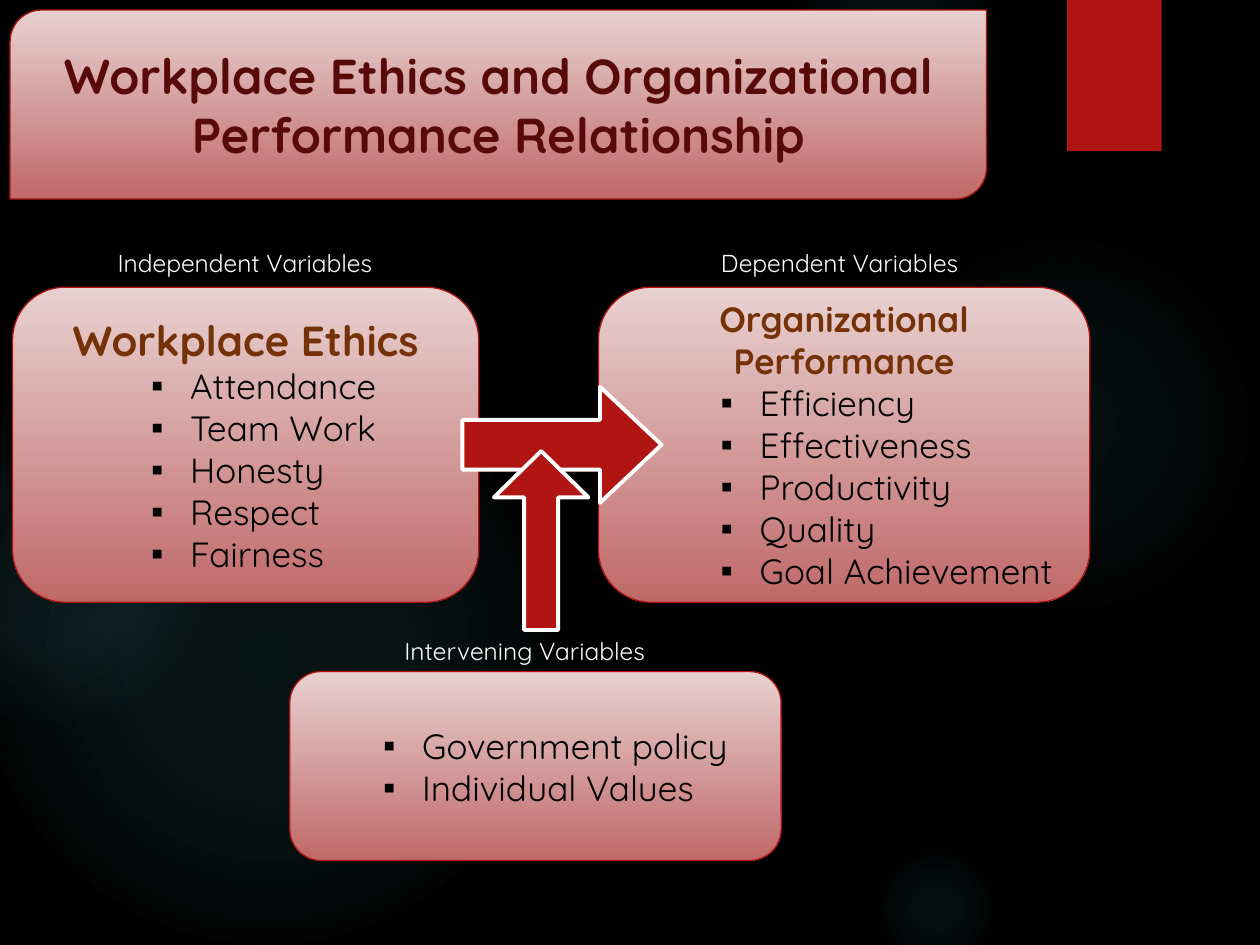
import pptx
import pptx.util
import pptx.oxml
import pptx.oxml.ns
import pptx.dml.color
import pptx.enum.shapes
import pptx.enum.text
from lxml import etree

Inches, Pt = pptx.util.Inches, pptx.util.Pt
RGBColor = pptx.dml.color.RGBColor
SHAPE = pptx.enum.shapes.MSO_SHAPE
ALIGN = pptx.enum.text.PP_ALIGN
ANCHOR = pptx.enum.text.MSO_ANCHOR
AUTO_SIZE = pptx.enum.text.MSO_AUTO_SIZE
qn = pptx.oxml.ns.qn

FONT = "Quicksand"
COLORS = {
    "background": "000000", "glow": "50B9C1", "red": "B01513",
    "card_top": "E8D1D0", "card_bottom": "C06969", "title": "580A09",
    "heading": "753209", "text": "000000", "label": "FFFFFF",
}


def color(name):
    return RGBColor.from_string(COLORS[name])


def add_box(kind, left, top, width, height, fill=None, line=None, line_width=0.75):
    """Add a shape without shadow; with no fill colour it gets the card gradient."""
    shape = slide.shapes.add_shape(
        kind, Inches(left), Inches(top), Inches(width), Inches(height))
    shape.shadow.inherit = False
    if fill:
        shape.fill.solid()
        shape.fill.fore_color.rgb = color(fill)
    else:
        shape.fill.gradient()
        shape.fill.gradient_angle = 270
        for stop, name in zip(shape.fill.gradient_stops, ("card_top", "card_bottom")):
            stop.color.rgb = color(name)
    if line:
        shape.line.color.rgb = color(line)
        shape.line.width = Pt(line_width)
    else:
        shape.line.fill.background()
    return shape


def write(frame, text, size=20, name="text", bold=False, indent=None):
    """Write a paragraph: centred, or bulleted when an indent is given."""
    paragraph = frame.paragraphs[0]
    if paragraph.runs:
        paragraph = frame.add_paragraph()
    run = paragraph.add_run()
    run.text = text
    run.font.name = FONT
    run.font.size = Pt(size)
    run.font.bold = bold
    run.font.color.rgb = color(name)
    paragraph.alignment = ALIGN.CENTER if indent is None else ALIGN.LEFT
    if indent is not None:
        properties = paragraph._p.get_or_add_pPr()
        properties.set("marL", str(Inches(indent)))
        properties.set("indent", str(Inches(-0.31)))
        etree.SubElement(properties, qn("a:buFont"), typeface="Arial")
        etree.SubElement(properties, qn("a:buChar"), char="▪")


presentation = pptx.Presentation()
presentation.slide_width = Inches(10)
presentation.slide_height = Inches(7.5)
slide = presentation.slides.add_slide(presentation.slide_layouts[5])
slide.background.fill.solid()
slide.background.fill.fore_color.rgb = color("background")

# Soft round glows: left, top, diameter, then (position, opacity) stops in percent
glows = [
    (6.89, 1.83, 3.08, [(0, 7), (36, 6), (69, 0)]),
    (6.22, -0.5, 1.75, [(0, 14), (36, 7), (73, 0)]),
    (6.89, 6.67, 1.08, [(0, 9), (36, 5), (66, 0)]),
    (-0.17, 2.92, 4.58, [(0, 11), (36, 10), (75, 0)]),
    (-0.92, 3.17, 2.58, [(0, 8), (36, 8), (72, 0)]),
]
for left, top, diameter, stops in glows:
    glow = add_box(SHAPE.OVAL, left, top, diameter, diameter)
    gradient = glow.element.spPr.find(qn("a:gradFill"))
    for child in list(gradient):
        gradient.remove(child)
    stop_list = etree.SubElement(gradient, qn("a:gsLst"))
    for position, opacity in stops:
        stop = etree.SubElement(stop_list, qn("a:gs"), pos=str(position * 1000))
        stop_color = etree.SubElement(stop, qn("a:srgbClr"), val=COLORS["glow"])
        etree.SubElement(stop_color, qn("a:alpha"), val=str(opacity * 1000))
    circle = etree.SubElement(gradient, qn("a:path"), path="circle")
    etree.SubElement(circle, qn("a:fillToRect"), l="50000", t="50000", r="50000", b="50000")

# Ribbon with a soft shadow below
ribbon = add_box(SHAPE.RECTANGLE, 8.47, 0, 0.75, 1.2, fill="red")
shadow = etree.SubElement(
    ribbon.element.spPr.find(qn("a:effectLst")), qn("a:outerShdw"),
    blurRad=str(Pt(3)), dist=str(Pt(2)), dir="5400000", rotWithShape="0")
shadow_color = etree.SubElement(shadow, qn("a:srgbClr"), val="000000")
etree.SubElement(shadow_color, qn("a:alpha"), val="45000")

# Title on its banner
banner = add_box(SHAPE.ROUND_2_DIAG_RECTANGLE, 0.08, 0.08, 7.75, 1.5, line="red")
title = slide.shapes.title
title.left, title.top, title.width, title.height = (
    banner.left, banner.top, banner.width, banner.height)
title.text_frame.auto_size = AUTO_SIZE.NONE
title.text_frame.vertical_anchor = ANCHOR.MIDDLE
write(title.text_frame, "Workplace Ethics and Organizational Performance Relationship",
      size=28, name="title", bold=True)
slide.shapes._spTree.append(title.element)

# Variable cards: position, heading, heading size, bullet indent, items
cards = [
    ((0.1, 2.28, 3.7, 2.5), "Workplace Ethics", 24, 1.19,
     ["Attendance", "Team Work", "Honesty", "Respect", "Fairness"]),
    ((4.75, 2.28, 3.9, 2.5), "Organizational Performance", 20, 1.06,
     ["Efficiency", "Effectiveness", "Productivity", "Quality", "Goal Achievement"]),
    ((2.3, 5.33, 3.9, 1.5), None, None, 0.88,
     ["Government policy", "Individual Values"]),
]
for position, heading, heading_size, indent, items in cards:
    card = add_box(SHAPE.ROUNDED_RECTANGLE, *position, line="red")
    card.text_frame.word_wrap = True
    card.text_frame.vertical_anchor = ANCHOR.MIDDLE
    if heading:
        write(card.text_frame, heading, size=heading_size, name="heading", bold=True)
    for item in items:
        write(card.text_frame, item, indent=indent)

# Arrows between the cards
arrows = [
    (SHAPE.RIGHT_ARROW, (3.67, 3.07, 1.58, 0.92), (0.43, 0.53)),
    (SHAPE.UP_ARROW, (3.92, 3.58, 0.75, 1.42), (0.36, 0.49)),
]
for kind, position, adjustments in arrows:
    arrow = add_box(kind, *position, fill="red", line="label", line_width=2.25)
    arrow.adjustments[0], arrow.adjustments[1] = adjustments

# Labels above the cards
labels = [
    (0.78, 1.92, "Independent Variables"),
    (5.5, 1.92, "Dependent Variables"),
    (3, 5, "Intervening Variables"),
]
for left, top, text in labels:
    label = slide.shapes.add_textbox(Inches(left), Inches(top), Inches(2.33), Inches(0.34))
    label.text_frame.word_wrap = True
    label.text_frame.auto_size = AUTO_SIZE.SHAPE_TO_FIT_TEXT
    write(label.text_frame, text, size=14, name="label")

presentation.save("out.pptx")
